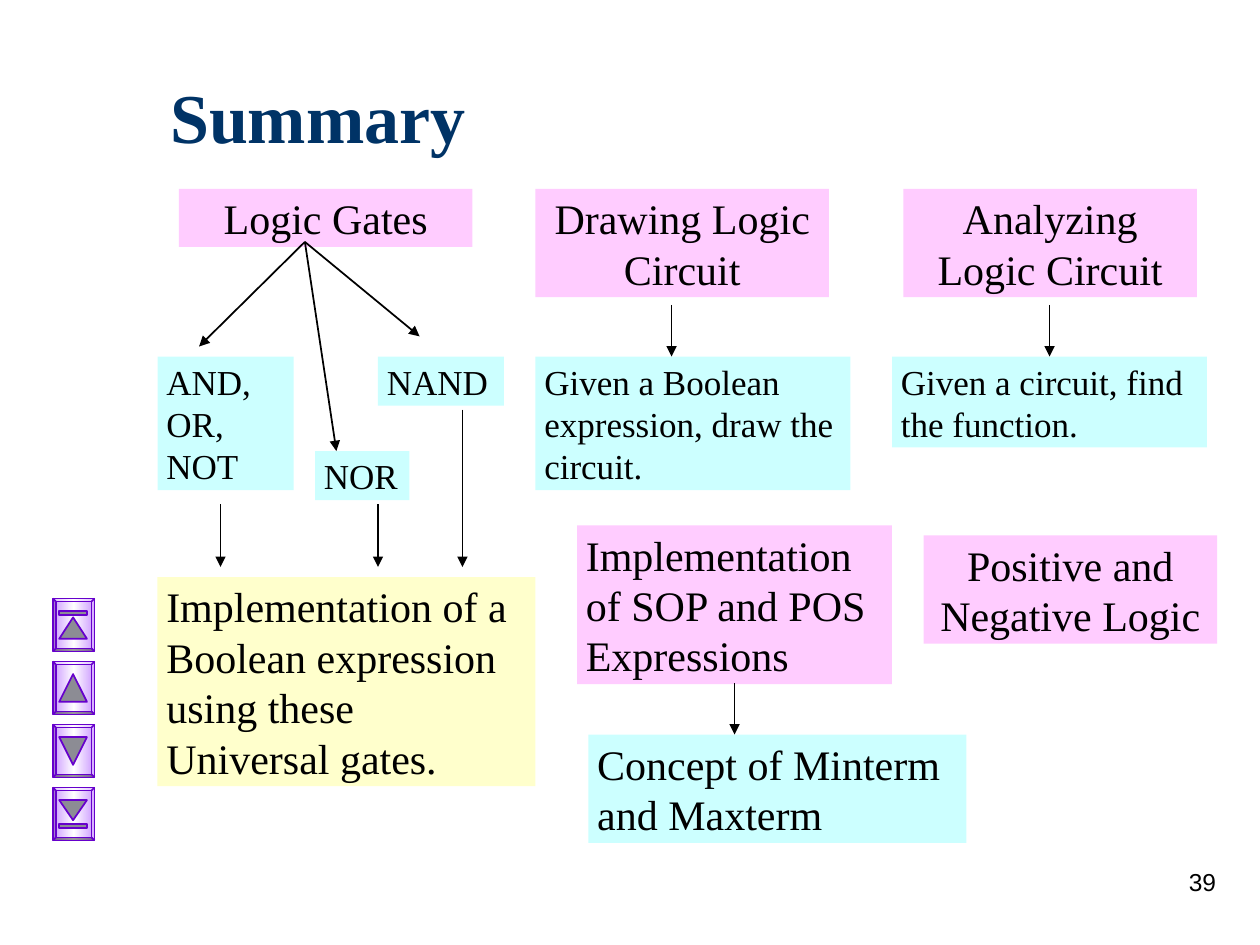
from lxml import etree
from pptx import Presentation
from pptx.dml.color import RGBColor
from pptx.enum.shapes import MSO_CONNECTOR, MSO_SHAPE
from pptx.enum.text import MSO_ANCHOR, MSO_AUTO_SIZE, PP_ALIGN
from pptx.oxml import parse_xml
from pptx.oxml.ns import nsdecls, qn
from pptx.util import Inches, Pt

COLORS = {
    "title": "003366", "text": "000000", "topic": "FFCCFF", "detail": "CCFFFF",
    "result": "FFFFCC", "button": "CC99FF", "button_middle": "FFFFFF",
    "button_line": "6600CC", "icon": "8C8C94",
}
SERIF = "Times New Roman"


def color(name):
    return RGBColor.from_string(COLORS[name])


class SummarySlide:
    """Draws styled elements on one slide."""

    def __init__(self, slide):
        self.slide = slide

    def set_text(self, shape, text, size, align=PP_ALIGN.LEFT, font=SERIF,
                 font_color="text", bold=False, margins=(0.07, 0.03)):
        frame = shape.text_frame
        frame.text = text
        frame.word_wrap = True
        frame.margin_left = frame.margin_right = Inches(margins[0])
        frame.margin_top = frame.margin_bottom = Inches(margins[1])
        paragraph = frame.paragraphs[0]
        paragraph.alignment = align
        for run in paragraph.runs:
            run.font.size = Pt(size)
            run.font.name = font
            run.font.bold = bold
            run.font.color.rgb = color(font_color)
        return frame

    def title(self, text):
        shape = self.slide.shapes.title
        shape.left, shape.top = Inches(1.25), Inches(0.5)
        shape.width, shape.height = Inches(8.5), Inches(0.83)
        frame = self.set_text(shape, text, 40, font_color="title", bold=True,
                              margins=(0.1, 0.05))
        frame.vertical_anchor = MSO_ANCHOR.MIDDLE

    def box(self, text, left, top, width, height, fill, size=24,
            align=PP_ALIGN.LEFT):
        shape = self.slide.shapes.add_shape(
            MSO_SHAPE.RECTANGLE, Inches(left), Inches(top),
            Inches(width), Inches(height))
        shape.shadow.inherit = False
        shape.fill.solid()
        shape.fill.fore_color.rgb = color(fill)
        shape.line.fill.background()
        frame = self.set_text(shape, text, size, align)
        frame.vertical_anchor = MSO_ANCHOR.TOP
        frame.auto_size = MSO_AUTO_SIZE.SHAPE_TO_FIT_TEXT

    def arrow(self, start_x, start_y, end_x, end_y):
        connector = self.slide.shapes.add_connector(
            MSO_CONNECTOR.STRAIGHT, Inches(start_x), Inches(start_y),
            Inches(end_x), Inches(end_y))
        connector.line.color.rgb = color("text")
        connector.line.width = Pt(1)
        properties = connector.element.spPr
        etree.SubElement(properties.find(qn("a:ln")), qn("a:tailEnd"),
                         type="triangle")
        etree.SubElement(properties, qn("a:effectLst"))

    def button(self, top, icon_outlines):
        """Bevelled button; icon outlines are measured from its top left corner."""
        left, width, height = 0.42, 0.33, 0.42
        offset = (height - width) / 2
        bevel = self.slide.shapes.add_shape(
            MSO_SHAPE.BEVEL, Inches(left - offset), Inches(top + offset),
            Inches(height), Inches(width))
        bevel.rotation = 90
        bevel.adjustments[0] = 0.07
        self.outline(bevel)
        stops = "".join(
            f'<a:gs pos="{position}"><a:srgbClr val="{COLORS[name]}"/></a:gs>'
            for position, name in ((0, "button"), (50000, "button_middle"),
                                   (100000, "button")))
        gradient = parse_xml(
            f'<a:gradFill {nsdecls("a")} rotWithShape="1"><a:gsLst>{stops}</a:gsLst>'
            '<a:lin ang="5400000" scaled="1"/></a:gradFill>')
        bevel.element.spPr.find(qn("a:prstGeom")).addnext(gradient)
        for outline in icon_outlines:
            points = [(Inches(left + x), Inches(top + y)) for x, y in outline]
            builder = self.slide.shapes.build_freeform(*points[0])
            builder.add_line_segments(points[1:], close=True)
            icon = builder.convert_to_shape()
            icon.fill.solid()
            icon.fill.fore_color.rgb = color("icon")
            self.outline(icon)

    def outline(self, shape):
        shape.shadow.inherit = False
        shape.line.color.rgb = color("button_line")
        shape.line.width = Pt(1)

    def page_number(self, text):
        shape = self.slide.shapes.add_textbox(
            Inches(7.67), Inches(6.83), Inches(2.08), Inches(0.5))
        self.set_text(shape, text, 14, PP_ALIGN.RIGHT, "Arial",
                      margins=(0.1, 0.05))


def triangle(tip, base):
    return [(0.16, tip), (0.27, base), (0.05, base)]


def bar(top):
    return [(0.05, top), (0.27, top), (0.27, top + 0.03), (0.05, top + 0.03)]


def main():
    presentation = Presentation()
    presentation.slide_width, presentation.slide_height = Inches(10), Inches(7.5)
    summary = SummarySlide(
        presentation.slides.add_slide(presentation.slide_layouts[5]))
    summary.title("Summary")

    buttons = [
        [triangle(0.15, 0.32), bar(0.1)],
        [triangle(0.1, 0.32)],
        [triangle(0.32, 0.1)],
        [triangle(0.26, 0.1), bar(0.29)],
    ]
    for index, icon_outlines in enumerate(buttons):
        summary.button(4.75 + 0.5 * index, icon_outlines)

    for text, left, top, height in (
            ("Logic Gates", 1.42, 1.5, 0.46),
            ("Drawing Logic Circuit", 4.25, 1.5, 0.86),
            ("Analyzing Logic Circuit", 7.17, 1.5, 0.86),
            ("Positive and Negative Logic", 7.33, 4.25, 0.86)):
        summary.box(text, left, top, 2.33, height, "topic", align=PP_ALIGN.CENTER)

    for text, left, top, width, height in (
            ("AND, OR, NOT", 1.25, 2.83, 1.08, 1.06),
            ("NAND", 3, 2.83, 1, 0.39),
            ("NOR", 2.5, 3.58, 0.75, 0.39),
            ("Given a Boolean expression, draw the circuit.", 4.25, 2.83, 2.5, 1.06),
            ("Given a circuit, find the function.", 7.08, 2.83, 2.5, 0.72)):
        summary.box(text, left, top, width, height, "detail", size=20)

    summary.box("Implementation of a Boolean expression using these Universal gates.",
                1.25, 4.58, 3, 1.66, "result")
    summary.box("Implementation of SOP and POS Expressions",
                4.58, 4.17, 2.5, 1.26, "topic")
    summary.box("Concept of Minterm and Maxterm", 4.67, 5.83, 3, 0.86, "detail")

    for end in ((1.58, 2.75), (3.33, 2.67), (2.67, 3.58)):
        summary.arrow(2.42, 1.92, *end)
    for x, start, end in ((5.33, 2.42, 2.83), (8.33, 2.42, 2.83), (1.75, 4, 4.5),
                          (3, 4, 4.5), (3.67, 3.25, 4.5), (5.83, 5.42, 5.83)):
        summary.arrow(x, start, x, end)

    summary.page_number("39")
    presentation.save("out.pptx")


if __name__ == "__main__":
    main()
